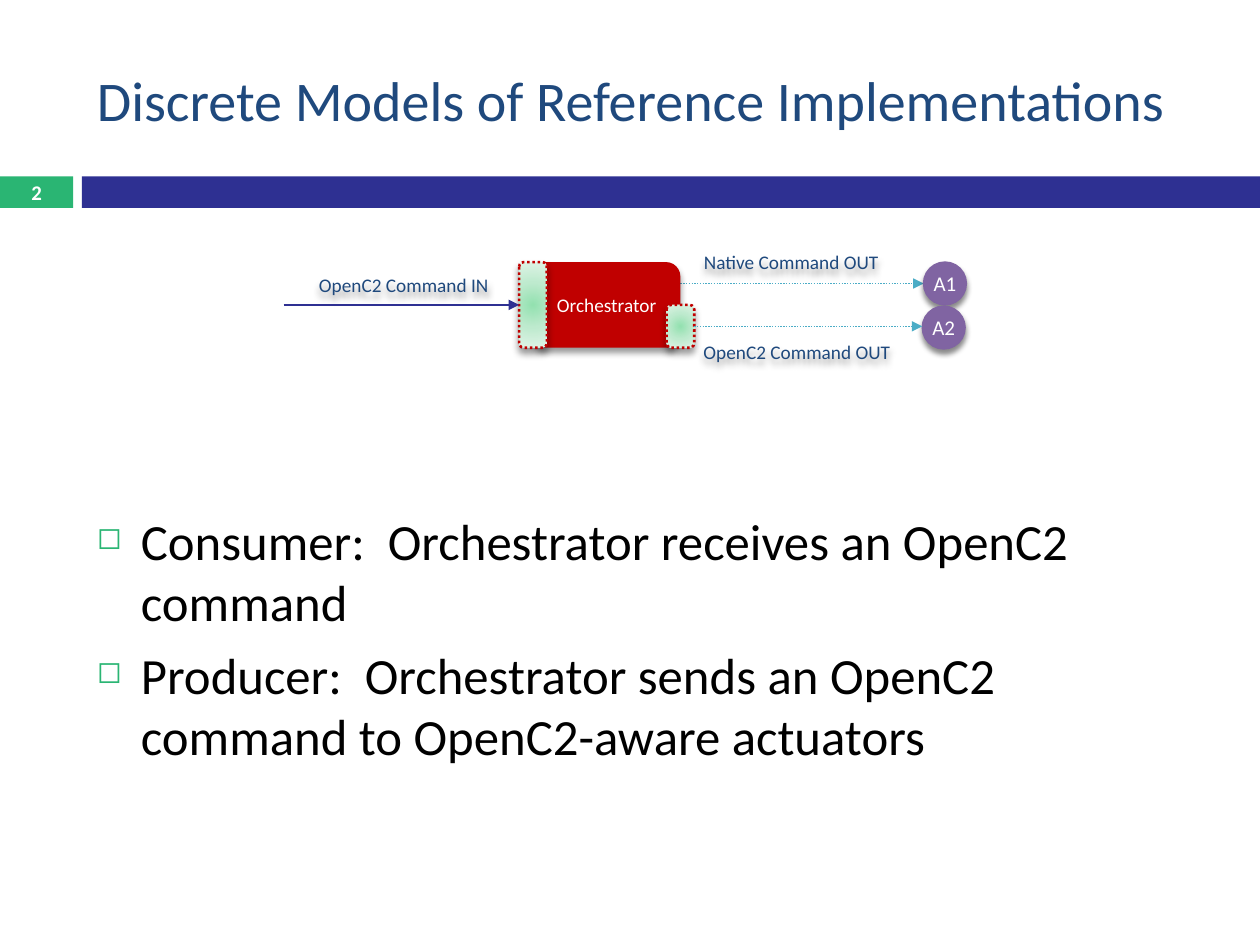
from lxml import etree
from pptx import Presentation
from pptx.dml.color import RGBColor
from pptx.enum.dml import MSO_LINE_DASH_STYLE as DASH
from pptx.enum.shapes import MSO_CONNECTOR, MSO_SHAPE as SHAPE
from pptx.enum.text import MSO_ANCHOR as ANCHOR, PP_ALIGN as ALIGN
from pptx.oxml import parse_xml
from pptx.oxml.ns import nsdecls, qn
from pptx.util import Inches, Pt

FONT = "Calibri"
WHITE = RGBColor(0xFF, 0xFF, 0xFF)
BLACK = RGBColor(0, 0, 0)
NAVY = RGBColor(0x1F, 0x49, 0x7D)
INDIGO = RGBColor(0x2E, 0x30, 0x92)
GREEN = RGBColor(0x2A, 0xB5, 0x73)
RED = RGBColor(0xC0, 0, 0)
PURPLE = RGBColor(0x80, 0x64, 0xA2)
TEAL = RGBColor(0x4B, 0xAC, 0xC6)
PORT_STOPS = [(0, "93E1B0"), (50, "BEEACE"), (100, "E0F4E7")]

TITLE = "Discrete Models of Reference Implementations"
PAGE = "2"
BULLETS = [
    "Consumer:  Orchestrator receives an OpenC2 command",
    "Producer:  Orchestrator sends an OpenC2 command to OpenC2-aware actuators",
]
LABELS = [  # text, left, top, width
    ("OpenC2 Command IN", 2.33, 2.1, 1.75),
    ("Native Command OUT", 5.39, 1.92, 1.78),
    ("OpenC2 Command OUT", 5.4, 2.63, 1.85),
]
ACTUATORS = [("A1", 7.33, 2.08), ("A2", 7.32, 2.43)]

SLIDE_W, SLIDE_H = 10, 7.5
MARGIN, CONTENT_W = 0.67, 8.92
BAND_Y, BAND_H, PAGE_W, BAND_X = 1.4, 0.25, 0.58, 0.65
BOX_X, BOX_Y, BOX_W, BOX_H = 4.23, 2.08, 1.17, 0.68
PORT_W, ACTUATOR_D, LABEL_H = 0.22, 0.34, 0.32

prs = Presentation()
prs.slide_width, prs.slide_height = Inches(SLIDE_W), Inches(SLIDE_H)
slide = prs.slides.add_slide(prs.slide_layouts[6])
shapes = slide.shapes


def add_text(s, lines, size, color, align=ALIGN.CENTER, anchor=ANCHOR.MIDDLE, inset=(0.1, 0.05)):
    tf = s.text_frame
    tf.word_wrap = True
    tf.vertical_anchor = anchor
    tf.margin_left = tf.margin_right = Inches(inset[0])
    tf.margin_top = tf.margin_bottom = Inches(inset[1])
    tf.text = "\n".join(lines)
    for p in tf.paragraphs:
        p.alignment = align
        p.font.name, p.font.size, p.font.color.rgb = FONT, Pt(size), color
    return tf


def add_box(kind, x, y, w, h, fill=None):
    s = shapes.add_shape(kind, Inches(x), Inches(y), Inches(w), Inches(h))
    s.shadow.inherit = False
    s.line.fill.background()
    if fill is None:
        s.fill.background()
    else:
        s.fill.solid()
        s.fill.fore_color.rgb = fill
    return s


def drop_shadow(s, alpha=40, blur=4, dist=3):
    effects = s._element.spPr.find(qn("a:effectLst"))
    effects.append(parse_xml(
        f'<a:outerShdw {nsdecls("a")} blurRad="{Pt(blur)}" dist="{Pt(dist)}" dir="5400000" '
        f'rotWithShape="0"><a:srgbClr val="000000"><a:alpha val="{alpha * 1000}"/>'
        '</a:srgbClr></a:outerShdw>'))


def add_port(x, y, h):
    s = add_box(SHAPE.ROUNDED_RECTANGLE, x, y, PORT_W, h)
    stops = "".join(f'<a:gs pos="{pos * 1000}"><a:srgbClr val="{color}"/></a:gs>'
                    for pos, color in PORT_STOPS)
    spPr = s._element.spPr
    spPr.replace(spPr.find(qn("a:noFill")), parse_xml(
        f'<a:gradFill {nsdecls("a")} rotWithShape="1"><a:gsLst>{stops}</a:gsLst>'
        '<a:path path="circle"><a:fillToRect l="50000" t="50000" r="50000" b="50000"/>'
        '</a:path></a:gradFill>'))
    s.line.color.rgb, s.line.width = RED, Pt(1.5)
    s.line.dash_style = DASH.ROUND_DOT
    drop_shadow(s)
    return s


def add_arrow(x1, x2, y, color, dash=None):
    c = shapes.add_connector(MSO_CONNECTOR.STRAIGHT, Inches(x1), Inches(y), Inches(x2), Inches(y))
    c.line.color.rgb, c.line.width = color, Pt(0.79)
    if dash:
        c.line.dash_style = dash
    etree.SubElement(c.line._get_or_add_ln(), qn("a:tailEnd"), type="triangle")
    etree.SubElement(c._element.spPr, qn("a:effectLst"))
    return c


def add_textbox(x, y, w, h, *args, **kwargs):
    s = shapes.add_textbox(Inches(x), Inches(y), Inches(w), Inches(h))
    return add_text(s, *args, **kwargs)


def add_bullet(p):
    pPr = p._p.get_or_add_pPr()
    pPr.set("marL", str(Inches(0.35)))
    pPr.set("indent", str(-Inches(0.35)))
    color = etree.Element(qn("a:buClr"))
    etree.SubElement(color, qn("a:srgbClr"), val=str(GREEN))
    size = etree.Element(qn("a:buSzPct"), val="60000")
    char = etree.Element(qn("a:buChar"), char="◻")
    for i, e in enumerate((color, size, char)):
        pPr.insert(i, e)


# Header
page = add_box(SHAPE.RECTANGLE, 0, BAND_Y, PAGE_W, BAND_H, GREEN)
add_text(page, [PAGE], 11.9, WHITE, inset=(0, 0)).paragraphs[0].font.bold = True
add_box(SHAPE.RECTANGLE, BAND_X, BAND_Y, SLIDE_W - BAND_X, BAND_H, INDIGO)
add_textbox(MARGIN, 0.25, CONTENT_W, 1.08, [TITLE], 32, NAVY, ALIGN.LEFT)

# Bullets
body = add_textbox(MARGIN, 4, CONTENT_W, 2.67, BULLETS, 29, BLACK, ALIGN.LEFT, ANCHOR.TOP)
for i, p in enumerate(body.paragraphs):
    add_bullet(p)
    if i:
        p.space_before = Pt(7)

# Diagram
box_right = BOX_X + BOX_W
add_arrow(box_right, ACTUATORS[0][1], 2.25, TEAL, DASH.ROUND_DOT)
orchestrator = add_box(SHAPE.ROUNDED_RECTANGLE, BOX_X, BOX_Y, BOX_W, BOX_H, RED)
drop_shadow(orchestrator)
add_text(orchestrator, ["Orchestrator"], 11, WHITE)
consumer = add_port(BOX_X - PORT_W / 2, BOX_Y, BOX_H)
producer = add_port(box_right - PORT_W / 2, BOX_Y + BOX_H / 2, BOX_H / 2)

for name, x, y in ACTUATORS:
    s = add_box(SHAPE.OVAL, x, y, ACTUATOR_D, ACTUATOR_D, PURPLE)
    s.line.color.rgb, s.line.width = PURPLE, Pt(0.79)
    drop_shadow(s, 45, 3, 2.4)
    add_text(s, [name], 12, WHITE, inset=(0, 0))

for text, x, y, w in LABELS:
    s = add_box(SHAPE.ROUNDED_RECTANGLE, x, y, w, LABEL_H)
    drop_shadow(s)
    add_text(s, [text], 11, NAVY)

port_mid = BOX_Y + BOX_H * 3 / 4
add_arrow(box_right + PORT_W / 2, ACTUATORS[1][1], port_mid, TEAL,
          DASH.ROUND_DOT).begin_connect(producer, 3)
add_arrow(2.25, BOX_X - PORT_W / 2, BOX_Y + BOX_H / 2, INDIGO).end_connect(consumer, 1)

prs.save("out.pptx")
